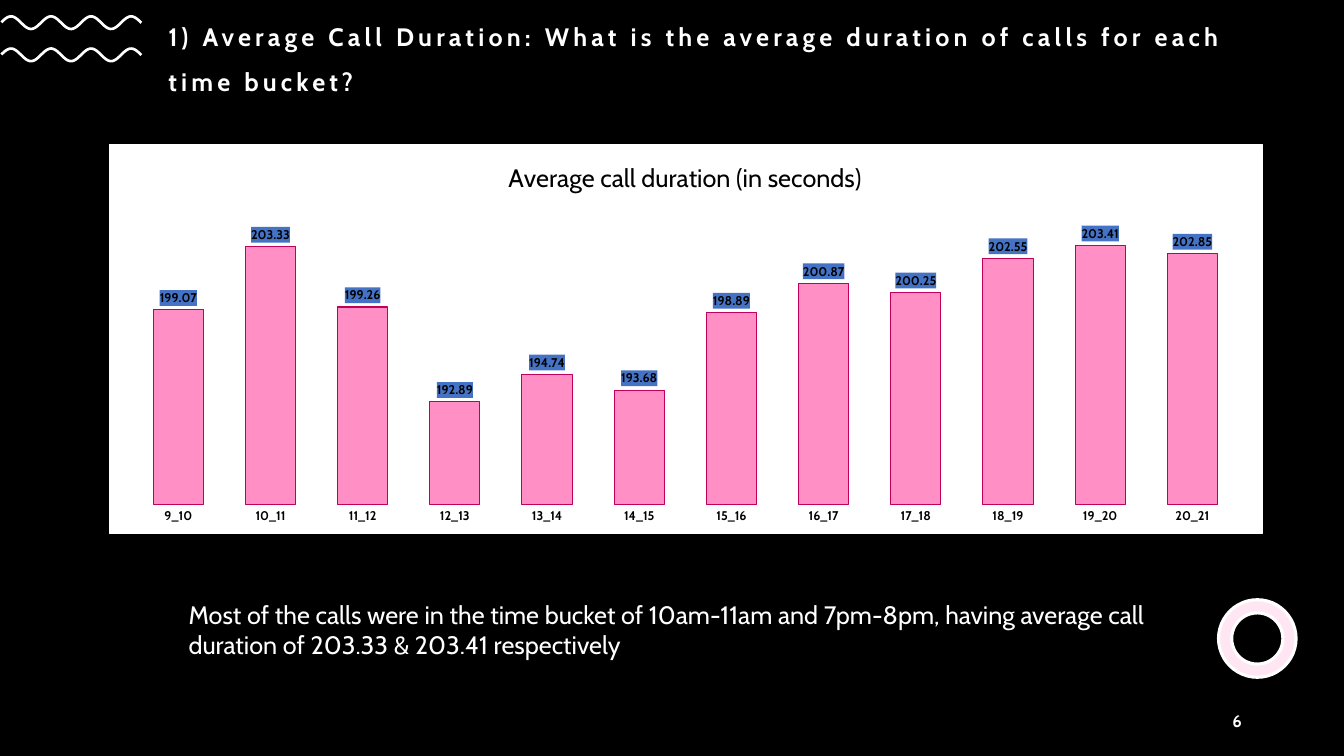
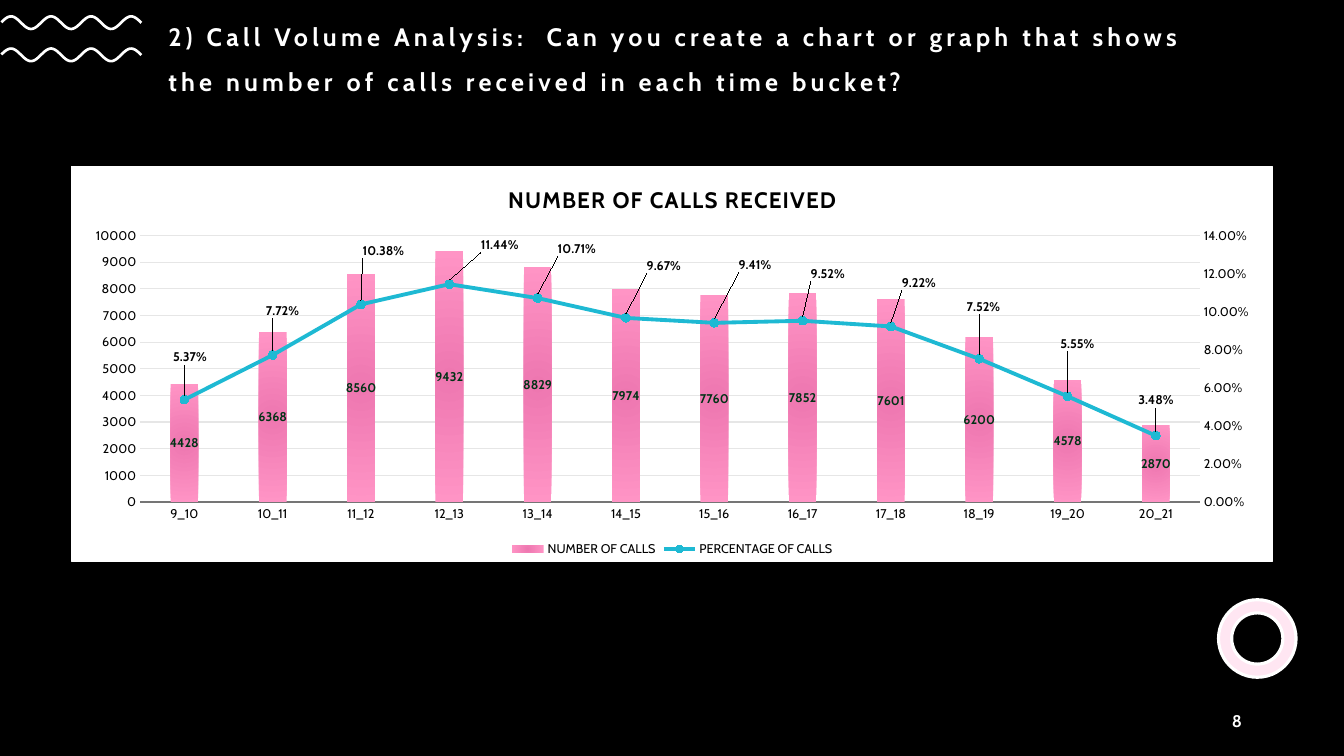
import copy
import math

from pptx import Presentation, oxml
from pptx import util as u
from pptx.chart import axis, data
from pptx.dml.color import RGBColor
from pptx.enum import chart as ch, shapes, text
from pptx.oxml import ns

FONT = "Cabin"
BLACK = RGBColor(0x00, 0x00, 0x00)
WHITE = RGBColor(0xFF, 0xFF, 0xFF)
BLUSH = RGBColor(0xFF, 0xE6, 0xF2)
PINK = RGBColor(0xFF, 0x8F, 0xC5)
MAGENTA = RGBColor(0xC0, 0x00, 0x5C)
BLUE = RGBColor(0x44, 0x72, 0xC4)
GREEN = RGBColor(0x00, 0x32, 0x15)
TEAL = RGBColor(0x1E, 0xB9, 0xD3)
CYAN = RGBColor(0x39, 0xDA, 0xFF)
GRID = RGBColor(0xE6, 0xE6, 0xE6)
GREY = RGBColor(0x75, 0x75, 0x75)

BUCKETS = [f"{hour}_{hour + 1}" for hour in range(9, 21)]
DURATIONS = [199.07, 203.33, 199.26, 192.89, 194.74, 193.68,
             198.89, 200.87, 200.25, 202.55, 203.41, 202.85]
CALLS = [4428, 6368, 8560, 9432, 8829, 7974, 7760, 7852, 7601, 6200, 4578, 2870]
SHARES = [0.0537, 0.0772, 0.1038, 0.1144, 0.1071, 0.0967,
          0.0941, 0.0952, 0.0922, 0.0752, 0.0555, 0.0348]
SHARE_NUDGES = [(4, -19), (7, -20), (16, -27), (36, -17), (28, -24), (27, -26),
                (29, -30), (18, -22), (20, -20), (3, -26), (7, -26), (0, -14)]


def xml(tag, body):
    return oxml.parse_xml(f"<{tag} {ns.nsdecls('c', 'a')}>{body}</{tag}>")


def solid(color):
    return f'<a:solidFill><a:srgbClr val="{color}"/></a:solidFill>'


def manual_layout(size, box, fixed=True):
    parts = list(zip("xywh", box, size * 2))
    body = '<c:layoutTarget val="inner"/>' if len(box) == 4 else ""
    if fixed:
        body += '<c:xMode val="edge"/><c:yMode val="edge"/>'
    body += "".join(f'<c:{n} val="{v / full:.4f}"/>' for n, v, full in parts)
    return xml("c:layout", f"<c:manualLayout>{body}</c:manualLayout>")


def drop(parent, *tags):
    for tag in tags:
        for child in parent.findall(ns.qn(tag)):
            parent.remove(child)


class Deck:
    """Hold the shared style and the current slide."""

    def __init__(self):
        self.prs = Presentation()
        self.prs.slide_width, self.prs.slide_height = u.Pt(960), u.Pt(540)
        fill = self.prs.slide_master.background.fill
        fill.solid()
        fill.fore_color.rgb = BLACK
        self.s = None

    def style(self, font, size, color=WHITE, bold=False):
        font.name, font.size, font.bold = FONT, u.Pt(size), bold
        font.color.rgb = color

    def run(self, p, words, size, color=WHITE, bold=False, spacing=0):
        r = p.add_run()
        r.text = words
        self.style(r.font, size, color, bold)
        if spacing:
            r.font._element.set("spc", str(spacing * 100))

    def slide(self, title, number):
        self.s = self.prs.slides.add_slide(self.prs.slide_layouts[5])
        for middle in (16.2, 39.2):
            self.wave(middle)
        self.ring()
        sp = self.s.shapes.title
        sp.left, sp.top, sp.width, sp.height = map(u.Pt, (113, 8.4, 769.7, 57))
        tf = sp.text_frame
        tf.word_wrap, tf.auto_size = True, text.MSO_AUTO_SIZE.NONE
        tf.vertical_anchor = text.MSO_ANCHOR.MIDDLE
        p = tf.paragraphs[0]
        p.alignment, p.line_spacing = text.PP_ALIGN.LEFT, 1.5
        self.run(p, title, 18, bold=True, spacing=3)
        tf = self.box(678.2, 500.4, 216, 28.8)
        tf.vertical_anchor = text.MSO_ANCHOR.MIDDLE
        tf.paragraphs[0].alignment = text.PP_ALIGN.RIGHT
        self.run(tf.paragraphs[0], number, 12, bold=True, spacing=1)

    def wave(self, middle):
        points = [(u.Pt(x), u.Pt(middle - 4.5 * math.cos((x - 7.9) * math.tau / 28.6)))
                  for x in range(1, 102)]
        pen = self.s.shapes.build_freeform(*points[0])
        pen.add_line_segments(points[1:], close=False)
        sp = pen.convert_to_shape()
        sp.shadow.inherit = False
        sp.fill.background()
        sp.line.color.rgb, sp.line.width = WHITE, u.Pt(1.9)

    def ring(self):
        sp = self.s.shapes.add_shape(shapes.MSO_SHAPE.DONUT, u.Pt(870.4), u.Pt(428.4),
                                     u.Pt(55.4), u.Pt(55.4))
        sp.adjustments[0] = 0.17
        sp.shadow.inherit = False
        sp.fill.solid()
        sp.fill.fore_color.rgb = BLUSH
        sp.line.color.rgb, sp.line.width = WHITE, u.Pt(2.25)

    def box(self, x, y, w, h):
        sp = self.s.shapes.add_textbox(*map(u.Pt, (x, y, w, h)))
        sp.text_frame.word_wrap = True
        return sp.text_frame

    def note(self, words, *place):
        tf = self.box(*place)
        tf.auto_size = text.MSO_AUTO_SIZE.SHAPE_TO_FIT_TEXT
        self.run(tf.paragraphs[0], words, 18)

    def chart(self, place, series, title, title_at, title_style, plot_box):
        cd = data.CategoryChartData()
        cd.categories = BUCKETS
        for name, values, fmt in series:
            cd.add_series(name, values, fmt)
        chart = self.s.shapes.add_chart(ch.XL_CHART_TYPE.COLUMN_CLUSTERED,
                                        *map(u.Pt, place), cd).chart
        size = place[2:]
        self.style(chart.font, 10, BLACK)
        chart.has_legend = False
        chart.plots[0].vary_by_categories = False
        chart.has_title = True
        self.run(chart.chart_title.text_frame.paragraphs[0], title, color=BLACK, **title_style)
        heading = chart.chart_title._element
        drop(heading, "c:layout")
        heading.find(ns.qn("c:tx")).addnext(manual_layout(size, title_at))
        space = chart._chartSpace
        area = space.chart.plotArea
        drop(area, "c:layout")
        area.insert(0, manual_layout(size, plot_box))
        space.chart.addnext(xml("c:spPr", solid(WHITE) + f'<a:ln w="6350">{solid(WHITE)}</a:ln>'))
        return chart

    def axis(self, ax, bold=False, line=None):
        ax.major_tick_mark = ax.minor_tick_mark = ch.XL_TICK_MARK.NONE
        self.style(ax.tick_labels.font, 9, BLACK, bold)
        if line is None:
            ax.format.line.fill.background()
        else:
            ax.format.line.color.rgb, ax.format.line.width = line, u.Pt(1)

    def labels(self, series, fmt, color, position):
        labels = series.data_labels
        labels.show_value = True
        labels.number_format, labels.number_format_is_linked = fmt, False
        labels.position = position
        self.style(labels.font, 9, color, True)
        drop(labels._element, "c:showLeaderLines")
        return labels._element

    def nudge(self, labels, size, offsets):
        shared = list(labels)
        for i, offset in enumerate(offsets):
            label = xml("c:dLbl", f'<c:idx val="{i}"/>')
            label.append(manual_layout(size, offset, fixed=False))
            label.extend(copy.deepcopy(shared))
            labels.insert(i, label)
        labels.append(xml("c:extLst", '<c:ext uri="{CE6537A1-D6FC-4f65-9D91-7224C49458BB}" '
                          'xmlns:c15="http://schemas.microsoft.com/office/drawing/2012/chart">'
                          '<c15:showLeaderLines val="0"/></c:ext>'))

    def line_on_right(self, chart, fmt):
        area = chart._chartSpace.chart.plotArea
        bars = area.find(ns.qn("c:barChart"))
        ser = bars.findall(ns.qn("c:ser"))[1]
        drop(ser, "c:invertIfNegative")
        lines = xml("c:lineChart", '<c:grouping val="standard"/><c:varyColors val="0"/>')
        lines.append(ser)
        lines.extend(xml("c:lineChart", '<c:marker val="1"/><c:axId val="501"/>'
                                        '<c:axId val="502"/>'))
        bars.addnext(lines)
        cat = copy.deepcopy(chart.category_axis._element)
        val = copy.deepcopy(chart.value_axis._element)
        changes = ((cat, {"axId": "501", "crossAx": "502", "delete": "1"}),
                   (val, {"axId": "502", "crossAx": "501", "axPos": "r", "crosses": "max"}))
        chart.value_axis._element.addnext(val)
        val.addnext(cat)
        for ax, values in changes:
            for tag, value in values.items():
                ax.find(ns.qn(f"c:{tag}")).set("val", value)
        right = axis.ValueAxis(val)
        right.has_major_gridlines = False
        right.tick_labels.number_format = fmt
        right.tick_labels.number_format_is_linked = False
        return chart.plots[1].series[0]


def duration_slide(deck):
    deck.slide("1) Average Call Duration: What is the average duration of calls "
               "for each time bucket?", "6")
    chart = deck.chart((77.8, 103.2, 824, 277.9), [("Series 1", DURATIONS, "0.00")],
                       "Average call duration (in seconds)", (282, 8), {"size": 18},
                       (16.4, 44.3, 790.7, 213))
    deck.axis(chart.category_axis, bold=True)
    ax = chart.value_axis
    ax.visible = ax.has_major_gridlines = False
    ax.minimum_scale, ax.maximum_scale = 186, 206
    chart.plots[0].gap_width = 84
    bars = chart.plots[0].series[0]
    bars.format.fill.solid()
    bars.format.fill.fore_color.rgb = PINK
    bars.format.line.color.rgb, bars.format.line.width = MAGENTA, u.Pt(0.75)
    labels = deck.labels(bars, "0.00", BLACK, ch.XL_LABEL_POSITION.OUTSIDE_END)
    labels.find(ns.qn("c:numFmt")).addnext(xml("c:spPr", solid(BLUE)))
    deck.note("Most of the calls were in the time bucket of 10am-11am and 7pm-8pm, having "
              "average call duration of 203.33 & 203.41 respectively", 127.6, 424.4, 711.4, 51)


def volume_slide(deck):
    deck.slide("2) Call Volume Analysis:  Can you create a chart or graph that shows "
               "the number of calls received in each time bucket?", "8")
    place = (51, 118.8, 858.2, 282.2)
    chart = deck.chart(place, [("NUMBER OF CALLS", CALLS, "General"),
                               ("PERCENTAGE OF CALLS", SHARES, "0.00%")],
                       "NUMBER OF CALLS RECEIVED", (309, 10),
                       {"size": 16, "bold": True, "spacing": 1}, (48.9, 49.3, 757.5, 190.7))
    chart.has_legend = True
    chart.legend.position = ch.XL_LEGEND_POSITION.BOTTOM
    chart.legend.include_in_layout = False
    deck.style(chart.legend.font, 9, BLACK)
    deck.axis(chart.category_axis, line=GREY)
    deck.axis(chart.value_axis)
    grid = chart.value_axis.major_gridlines.format.line
    grid.color.rgb, grid.width = GRID, u.Pt(0.75)
    share = deck.line_on_right(chart, "0.00%")

    plot = chart.plots[0]
    plot.gap_width, plot.overlap = 219, -27
    calls = plot.series[0]
    calls.format.fill.background()
    props = calls._element.find(ns.qn("c:spPr"))
    drop(props, "a:noFill")
    props.insert(0, xml("a:gradFill", '<a:gsLst><a:gs pos="0"><a:srgbClr val="EE77B0"/></a:gs>'
                        '<a:gs pos="100000"><a:srgbClr val="FF94C5"/></a:gs></a:gsLst>'
                        '<a:path path="circle"><a:fillToRect l="100000" t="100000" '
                        'r="100000" b="100000"/></a:path>'))
    deck.labels(calls, "General", GREEN, ch.XL_LABEL_POSITION.CENTER)

    share.smooth = False
    share.format.line.color.rgb, share.format.line.width = TEAL, u.Pt(2.75)
    share.marker.style, share.marker.size = ch.XL_MARKER_STYLE.CIRCLE, 6
    share.marker.format.fill.solid()
    share.marker.format.fill.fore_color.rgb = CYAN
    share.marker.format.line.color.rgb = TEAL
    labels = deck.labels(share, "0.00%", BLACK, ch.XL_LABEL_POSITION.ABOVE)
    deck.nudge(labels, place[2:], SHARE_NUDGES)


def main():
    deck = Deck()
    duration_slide(deck)
    volume_slide(deck)
    deck.prs.save("out.pptx")


if __name__ == "__main__":
    main()
